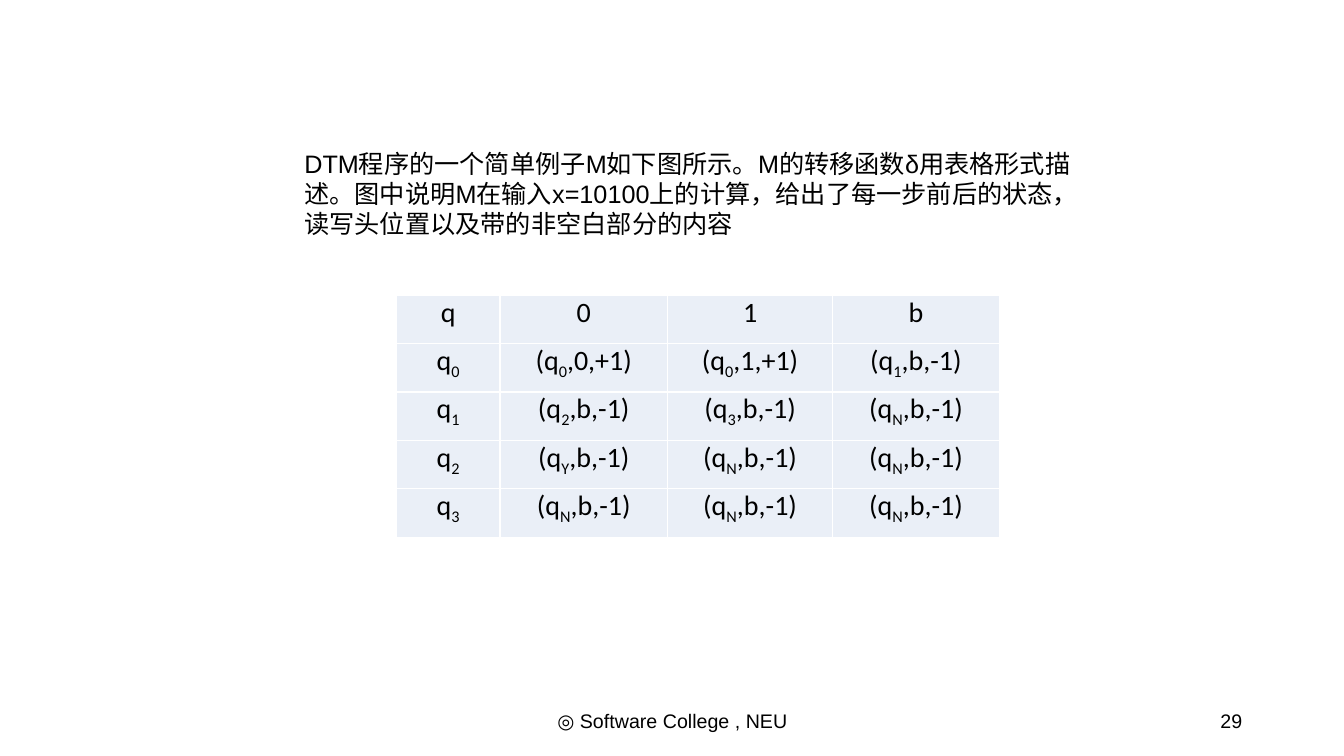
from dataclasses import dataclass

import lxml.etree
import pptx
import pptx.dml.color
import pptx.enum.text
import pptx.oxml.ns
import pptx.util

Inches = pptx.util.Inches
RGB = pptx.dml.color.RGBColor.from_string
ALIGN = pptx.enum.text.PP_ALIGN
ANCHOR = pptx.enum.text.MSO_ANCHOR


@dataclass(frozen=True)
class Theme:
    ink: str = "000000"
    cell: str = "EAEFF7"
    border: str = "FFFFFF"
    text_font: str = "Arial"
    table_font: str = "Calibri"
    footer: int = 14
    body: int = 18
    table: int = 20


THEME = Theme()

INTRO = "DTM程序的一个简单例子M如下图所示。M的转移函数δ用表格形式描述。图中说明M在输入x=10100上的计算，给出了每一步前后的状态，读写头位置以及带的非空白部分的内容"
TRANSITIONS = [
    ["q", "0", "1", "b"],
    ["q_0", "(q_0,0,+1)", "(q_0,1,+1)", "(q_1,b,-1)"],
    ["q_1", "(q_2,b,-1)", "(q_3,b,-1)", "(q_N,b,-1)"],
    ["q_2", "(q_Y,b,-1)", "(q_N,b,-1)", "(q_N,b,-1)"],
    ["q_3", "(q_N,b,-1)", "(q_N,b,-1)", "(q_N,b,-1)"],
]
COLUMN_WIDTHS = [1.03, 1.66, 1.64, 1.65]


def add_run(p, text, font, size, subscript=False):
    r = p.add_run()
    r.text = text
    r.font.name = font
    r.font.size = pptx.util.Pt(size)
    r.font.color.rgb = RGB(THEME.ink)
    if subscript:
        r.font._element.set("baseline", "-25000")


def add_text(s, box, text, size, align=ALIGN.LEFT, anchor=ANCHOR.TOP):
    tf = s.shapes.add_textbox(*map(Inches, box)).text_frame
    tf.word_wrap = True
    tf.vertical_anchor = anchor
    p = tf.paragraphs[0]
    p.alignment = align
    add_run(p, text, THEME.text_font, size)
    return tf


def add_intro(s, box):
    tf = add_text(s, box, INTRO, THEME.body)
    tf.auto_size = pptx.enum.text.MSO_AUTO_SIZE.SHAPE_TO_FIT_TEXT


def add_footer(s, box):
    left, top, width, height = box
    credit_width, number_width = 4.5, 3
    add_text(s, (left, top, credit_width, height), "◎ Software College , NEU",
             THEME.footer, ALIGN.CENTER, ANCHOR.MIDDLE)
    add_text(s, (left + width - number_width, top, number_width, height), "29",
             THEME.footer, ALIGN.RIGHT, ANCHOR.MIDDLE)


def set_borders(cell):
    qn = pptx.oxml.ns.qn
    tc_pr = cell._tc.get_or_add_tcPr()
    for side in ("a:lnL", "a:lnR", "a:lnT", "a:lnB"):
        ln = lxml.etree.SubElement(tc_pr, qn(side), w=str(pptx.util.Pt(1)))
        fill = lxml.etree.SubElement(ln, qn("a:solidFill"))
        lxml.etree.SubElement(fill, qn("a:srgbClr"), val=THEME.border)


def fill_cell(cell, text):
    set_borders(cell)
    cell.fill.solid()
    cell.fill.fore_color.rgb = RGB(THEME.cell)
    cell.margin_left = cell.margin_right = Inches(0.07)
    cell.margin_top = cell.margin_bottom = 0
    p = cell.text_frame.paragraphs[0]
    p.alignment = ALIGN.CENTER
    base, _, rest = text.partition("_")
    add_run(p, base, THEME.table_font, THEME.table)
    if rest:
        add_run(p, rest[0], THEME.table_font, THEME.table, subscript=True)
    if rest[1:]:
        add_run(p, rest[1:], THEME.table_font, THEME.table)


def add_transition_table(s, box):
    height = box[3]
    rows = len(TRANSITIONS)
    table = s.shapes.add_table(rows, len(COLUMN_WIDTHS), *map(Inches, box)).table
    table.first_row = table.horz_banding = False
    for column, width in zip(table.columns, COLUMN_WIDTHS):
        column.width = Inches(width)
    for row, texts in zip(table.rows, TRANSITIONS):
        row.height = Inches(height / rows)
        for cell, text in zip(row.cells, texts):
            fill_cell(cell, text)


def main():
    prs = pptx.Presentation()
    prs.slide_width, prs.slide_height = Inches(13.33), Inches(7.5)
    s = prs.slides.add_slide(prs.slide_layouts[6])
    add_footer(s, (4.42, 6.95, 8, 0.4))
    add_intro(s, (2.92, 1.42, 7.92, 1.01))
    add_transition_table(s, (3.93, 2.93, sum(COLUMN_WIDTHS), 2.4))
    prs.save("out.pptx")


if __name__ == "__main__":
    main()
